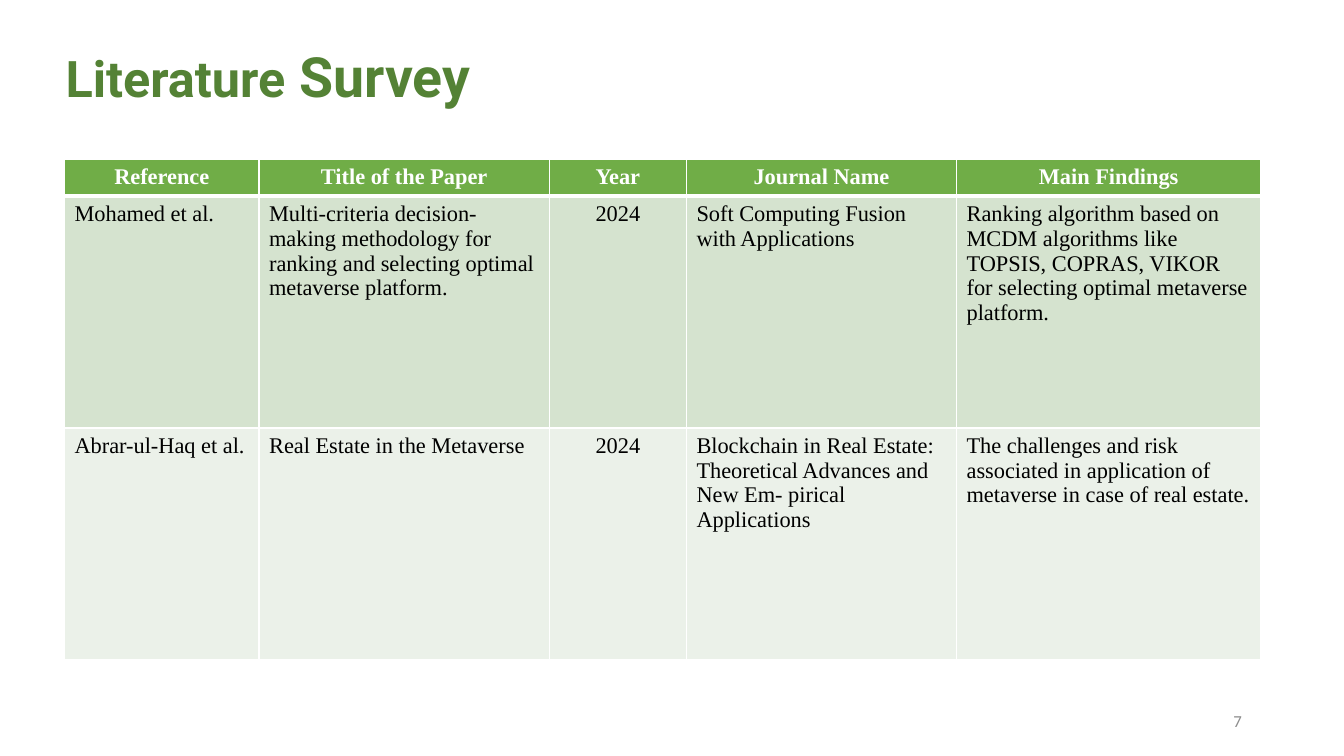
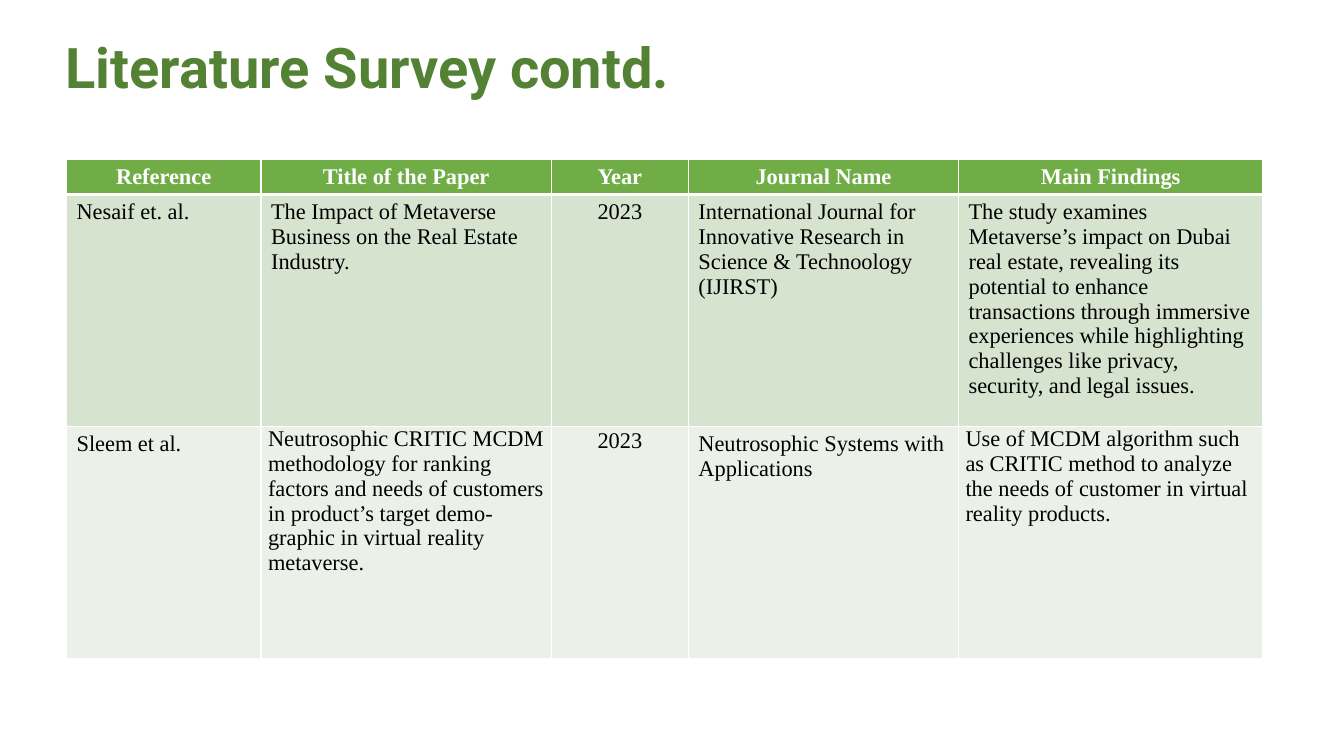
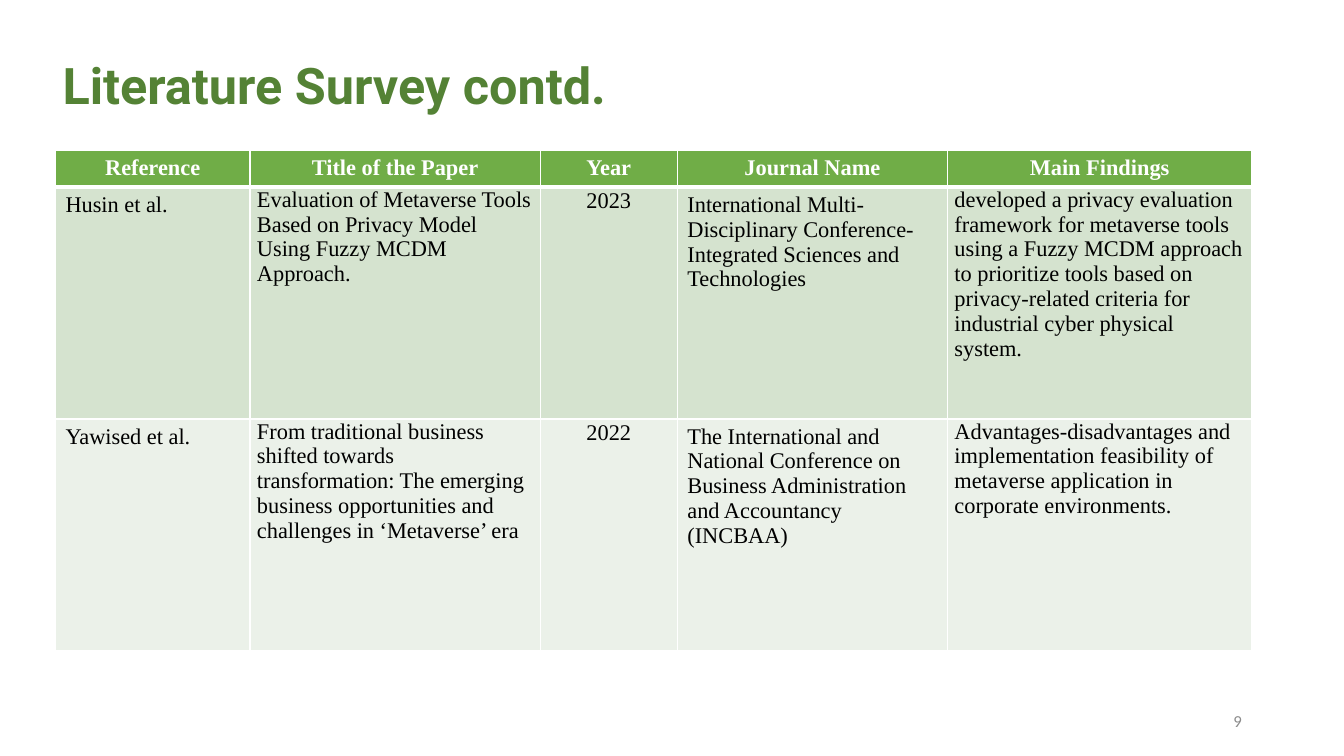
from dataclasses import dataclass

from lxml import etree
from pptx import Presentation
from pptx.dml.color import RGBColor
from pptx.enum.text import MSO_ANCHOR, MSO_AUTO_SIZE, PP_ALIGN
from pptx.oxml.ns import qn
from pptx.util import Emu, Inches, Pt

LEFT, CENTER, RIGHT = PP_ALIGN.LEFT, PP_ALIGN.CENTER, PP_ALIGN.RIGHT
TOP, MIDDLE = MSO_ANCHOR.TOP, MSO_ANCHOR.MIDDLE
NO_AUTOFIT = MSO_AUTO_SIZE.NONE

GRID_COLUMNS, GRID_ROWS = 80, 45
CELL = Inches(1) // 6
TITLE_ONLY = 5
YEAR = 2

HEADINGS = ["Reference", "Title of the Paper", "Year", "Journal Name", "Main Findings"]
COLUMN_WIDTHS = [11.58, 17.28, 8.16, 16.08, 18.12]
ROW_HEIGHTS = [2.1, 13.8, 13.8]


@dataclass(frozen=True)
class Theme:
    heading: str = "548235"
    header_fill: str = "70AD47"
    band_fills: tuple = ("D5E3CF", "EBF1E9")
    header_text: str = "FFFFFF"
    border: str = "FFFFFF"
    body_text: str = "000000"
    page_text: str = "8C8C8C"
    heading_font: str = "Roboto"
    table_font: str = "Times New Roman"
    page_font: str = "Calibri"
    table_size: float = 16
    page_size: float = 12
    thin: float = 1
    thick: float = 3


def grid(*cells):
    return [Emu(round(count * CELL)) for count in cells]


def style(run, font, size, color, bold=False):
    run.font.name = font
    run.font.size = Pt(size)
    run.font.bold = bold
    run.font.color.rgb = RGBColor.from_string(color)


class SurveyDeck:
    def __init__(self, theme):
        self.theme = theme
        self.presentation = Presentation()
        self.presentation.slide_width, self.presentation.slide_height = grid(GRID_COLUMNS, GRID_ROWS)
        self.slide = None

    def new_slide(self):
        layout = self.presentation.slide_layouts[TITLE_ONLY]
        self.slide = self.presentation.slides.add_slide(layout)

    def title(self, parts, place, anchor):
        heading = self.slide.shapes.title
        heading.left, heading.top, heading.width, heading.height = grid(*place)
        frame = heading.text_frame
        frame.word_wrap = True
        frame.auto_size = NO_AUTOFIT
        frame.vertical_anchor = anchor
        line = frame.paragraphs[0]
        line.alignment = LEFT
        line.line_spacing = 0.9
        for words, size in parts:
            run = line.add_run()
            run.text = words
            style(run, self.theme.heading_font, size, self.theme.heading, True)

    def page_number(self, number):
        frame = self.slide.shapes.add_textbox(*grid(56.52, 41.7, 18, 2.4)).text_frame
        frame.word_wrap = True
        frame.vertical_anchor = MIDDLE
        frame.text = str(number)
        line = frame.paragraphs[0]
        line.alignment = RIGHT
        style(line.runs[0], self.theme.page_font, self.theme.page_size, self.theme.page_text)

    def borders(self, cell, top, bottom):
        properties = cell._tc.get_or_add_tcPr()
        weights = {"L": self.theme.thin, "R": self.theme.thin, "T": top, "B": bottom}
        for side, weight in weights.items():
            edge = etree.SubElement(properties, qn(f"a:ln{side}"), w=str(Pt(weight)))
            fill = etree.SubElement(edge, qn("a:solidFill"))
            etree.SubElement(fill, qn("a:srgbClr"), val=self.theme.border)

    def cell(self, cell, words, row, column, tight):
        theme = self.theme
        header = row == 0
        self.borders(cell, theme.thick if row == 1 else theme.thin,
                     theme.thick if header else theme.thin)
        cell.fill.solid()
        fill = theme.header_fill if header else theme.band_fills[row - 1]
        cell.fill.fore_color.rgb = RGBColor.from_string(fill)
        cell.text_frame.text = words
        line = cell.text_frame.paragraphs[0]
        line.alignment = CENTER if header or column == YEAR else LEFT
        color = theme.header_text if header else theme.body_text
        style(line.runs[0], theme.table_font, theme.table_size, color, header)
        if tight:
            cell.margin_left = cell.margin_right = Inches(0.07)
            cell.margin_top = cell.margin_bottom = 0
            if column == YEAR:
                line.line_spacing = 1.07
                line.space_after = Pt(8)

    def survey_table(self, left, top, papers, tight_rows):
        size = sum(COLUMN_WIDTHS), sum(ROW_HEIGHTS)
        table = self.slide.shapes.add_table(
            len(ROW_HEIGHTS), len(HEADINGS), *grid(left, top, *size)).table
        table.horz_banding = False
        for column, width in zip(table.columns, grid(*COLUMN_WIDTHS)):
            column.width = width
        for row, height in zip(table.rows, grid(*ROW_HEIGHTS)):
            row.height = height
        for row, entries in enumerate([HEADINGS, *papers]):
            for column, words in enumerate(entries):
                tight = row in tight_rows and column in (1, YEAR, 4)
                self.cell(table.cell(row, column), words, row, column, tight)


SURVEY = [
    {
        "title": ([("Literature", 36), (" Survey", 39.6)], (3.3, 2.82, 69, 3.84), MIDDLE),
        "table": (3.84, 9.48),
        "tight_rows": (),
        "page": 7,
        "papers": [
            ["Mohamed et al.",
             "Multi-criteria decision-making methodology for ranking and selecting optimal metaverse platform.",
             "2024",
             "Soft Computing Fusion with Applications",
             "Ranking algorithm based on MCDM algorithms like TOPSIS, COPRAS, VIKOR for selecting optimal metaverse platform."],
            ["Abrar-ul-Haq et al.",
             "Real Estate in the Metaverse",
             "2024",
             "Blockchain in Real Estate: Theoretical Advances and New Em- pirical Applications",
             "The challenges and risk associated in application of metaverse in case of real estate."],
        ],
    },
    {
        "title": ([("Literature Survey contd.", 40)], (3.3, 2.1, 69, 8.7), TOP),
        "table": (3.96, 9.48),
        "tight_rows": (2,),
        "page": None,
        "papers": [
            ["Nesaif et. al.",
             "The Impact of Metaverse Business on the Real Estate Industry.",
             "2023",
             "International Journal for Innovative Research in Science & Technoology (IJIRST)",
             "The study examines Metaverse’s impact on Dubai real estate, revealing its potential to enhance "
             "transactions through immersive experiences while highlighting challenges like privacy, security, "
             "and legal issues."],
            ["Sleem et al.",
             "Neutrosophic CRITIC MCDM methodology for ranking factors and needs of customers in product’s "
             "target demo- graphic in virtual reality metaverse.",
             "2023",
             "Neutrosophic Systems with Applications",
             "Use of MCDM algorithm such as CRITIC method to analyze the needs of customer in virtual reality products."],
        ],
    },
    {
        "title": ([("Literature Survey contd.", 36)], (3.12, 0.9, 69, 8.7), MIDDLE),
        "table": (3.3, 8.94),
        "tight_rows": (1, 2),
        "page": 9,
        "papers": [
            ["Husin et al.",
             "Evaluation of Metaverse Tools Based on Privacy Model Using Fuzzy MCDM Approach.",
             "2023",
             "International Multi-Disciplinary Conference-Integrated Sciences and Technologies",
             "developed a privacy evaluation framework for metaverse tools using a Fuzzy MCDM approach to "
             "prioritize tools based on privacy-related criteria for industrial cyber physical system."],
            ["Yawised et al.",
             "From traditional business shifted towards transformation: The emerging business opportunities "
             "and challenges in ‘Metaverse’ era",
             "2022",
             "The International and National Conference on Business Administration and Accountancy (INCBAA)",
             "Advantages-disadvantages and implementation feasibility of metaverse application in corporate environments."],
        ],
    },
]


def main():
    deck = SurveyDeck(Theme())
    for section in SURVEY:
        deck.new_slide()
        deck.title(*section["title"])
        if section["page"]:
            deck.page_number(section["page"])
        deck.survey_table(*section["table"], section["papers"], section["tight_rows"])
    deck.presentation.save("out.pptx")


if __name__ == "__main__":
    main()
